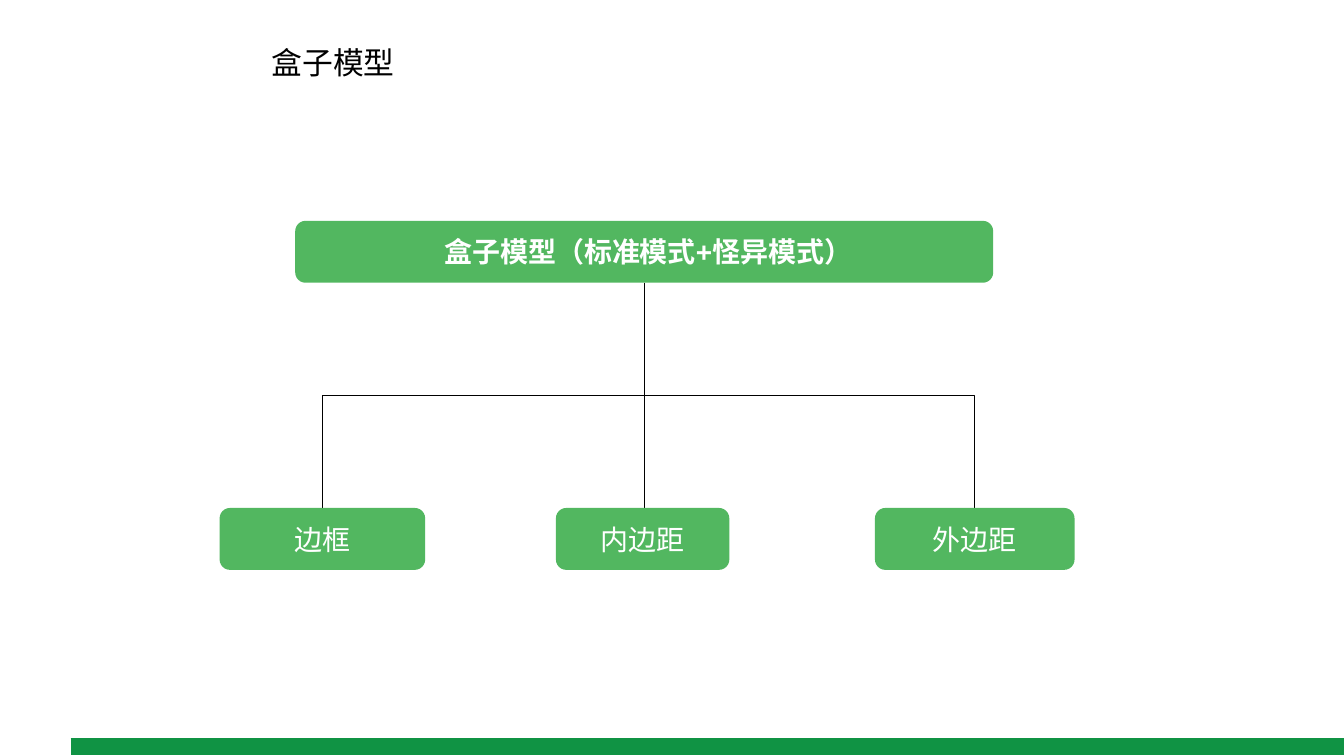
from lxml.etree import SubElement
from pptx import Presentation
from pptx.dml.color import RGBColor
from pptx.enum.shapes import MSO_CONNECTOR, MSO_SHAPE
from pptx.enum.text import MSO_ANCHOR, MSO_AUTO_SIZE, PP_ALIGN
from pptx.oxml.ns import qn
from pptx.util import Cm, Pt

BLACK = RGBColor(0x00, 0x00, 0x00)
WHITE = RGBColor(0xFF, 0xFF, 0xFF)
GREEN = RGBColor(0x52, 0xB7, 0x60)
DARK_GREEN = RGBColor(0x10, 0x93, 0x44)
FONT = "Arial"
NODE_H = 3.12
ROOT = ("盒子模型（标准模式+怪异模式）", 3.81, 35.18)  # text, left, width
CHILDREN = [("边框", 0, 10.36), ("内边距", 16.95, 8.74), ("外边距", 33.03, 10.06)]


def set_text(sp, text, size, color, align, bold=False):
    tf = sp.text_frame
    tf.vertical_anchor = MSO_ANCHOR.MIDDLE
    p = tf.paragraphs[0]
    p.alignment = align
    r = p.add_run()
    r.text = text
    r.font.name = FONT
    r.font.size = Pt(size)
    r.font.bold = bold
    r.font.color.rgb = color


def add_line(s, kind, x1, y1, x2, y2, color, width):
    line = s.shapes.add_connector(kind, Cm(x1), Cm(y1), Cm(x2), Cm(y2))
    line.line.color.rgb = color
    line.line.width = Pt(width)
    SubElement(line._element.spPr, qn("a:effectLst"))
    return line


def add_branch(s, x1, y1, x2, y2):
    """Join parent to child: down, across, down; straight when aligned."""
    if abs(x2 - x1) < 0.1:
        add_line(s, MSO_CONNECTOR.STRAIGHT, x1, y1, x1, y2, BLACK, 0.75)
        return
    # An elbow leaves sideways, so it is laid out flat and turned 90 degrees.
    cx, cy = (x1 + x2) / 2, (y1 + y2) / 2
    half_w, half_h = (y2 - y1) / 2, (x1 - x2) / 2
    line = add_line(s, MSO_CONNECTOR.ELBOW, cx - half_w, cy - half_h,
                    cx + half_w, cy + half_h, BLACK, 0.75)
    line._element.spPr.find(qn("a:xfrm")).set("rot", str(90 * 60000))


def add_node(s, text, left, top, width, bold=False):
    sp = s.shapes.add_shape(MSO_SHAPE.ROUNDED_RECTANGLE,
                            Cm(left), Cm(top), Cm(width), Cm(NODE_H))
    sp.shadow.inherit = False
    sp.fill.solid()
    sp.fill.fore_color.rgb = GREEN
    sp.line.fill.background()
    set_text(sp, text, 40, WHITE, PP_ALIGN.CENTER, bold)
    return sp


def add_tree(s, left, top, height):
    root_text, root_x, root_w = ROOT
    root_cx = left + root_x + root_w / 2
    child_top = top + height - NODE_H
    for _, x, w in CHILDREN:
        add_branch(s, root_cx, top + NODE_H, left + x + w / 2, child_top)
    root = add_node(s, root_text, left + root_x, top, root_w, bold=True)
    root.text_frame.margin_left = Cm(0.65)  # sets the label slightly right of centre
    for text, x, w in CHILDREN:
        add_node(s, text, left + x, child_top, w)


def add_title(s, text, left, top, width, height):
    sp = s.shapes.add_textbox(Cm(left), Cm(top), Cm(width), Cm(height))
    tf = sp.text_frame
    tf.word_wrap = False
    tf.auto_size = MSO_AUTO_SIZE.SHAPE_TO_FIT_TEXT
    tf.margin_right = 0
    set_text(sp, text, 44, BLACK, PP_ALIGN.LEFT)


def main():
    prs = Presentation()
    prs.slide_width, prs.slide_height = Cm(67.74), Cm(38.1)
    s = prs.slides.add_slide(prs.slide_layouts[6])
    add_line(s, MSO_CONNECTOR.STRAIGHT, 3.56, 37.62, 67.74, 37.62, DARK_GREEN, 25)
    add_title(s, "盒子模型", 13.44, 2.06, 6.71, 2.13)
    add_tree(s, 11.07, 11.13, 17.59)
    prs.save("out.pptx")


if __name__ == "__main__":
    main()
